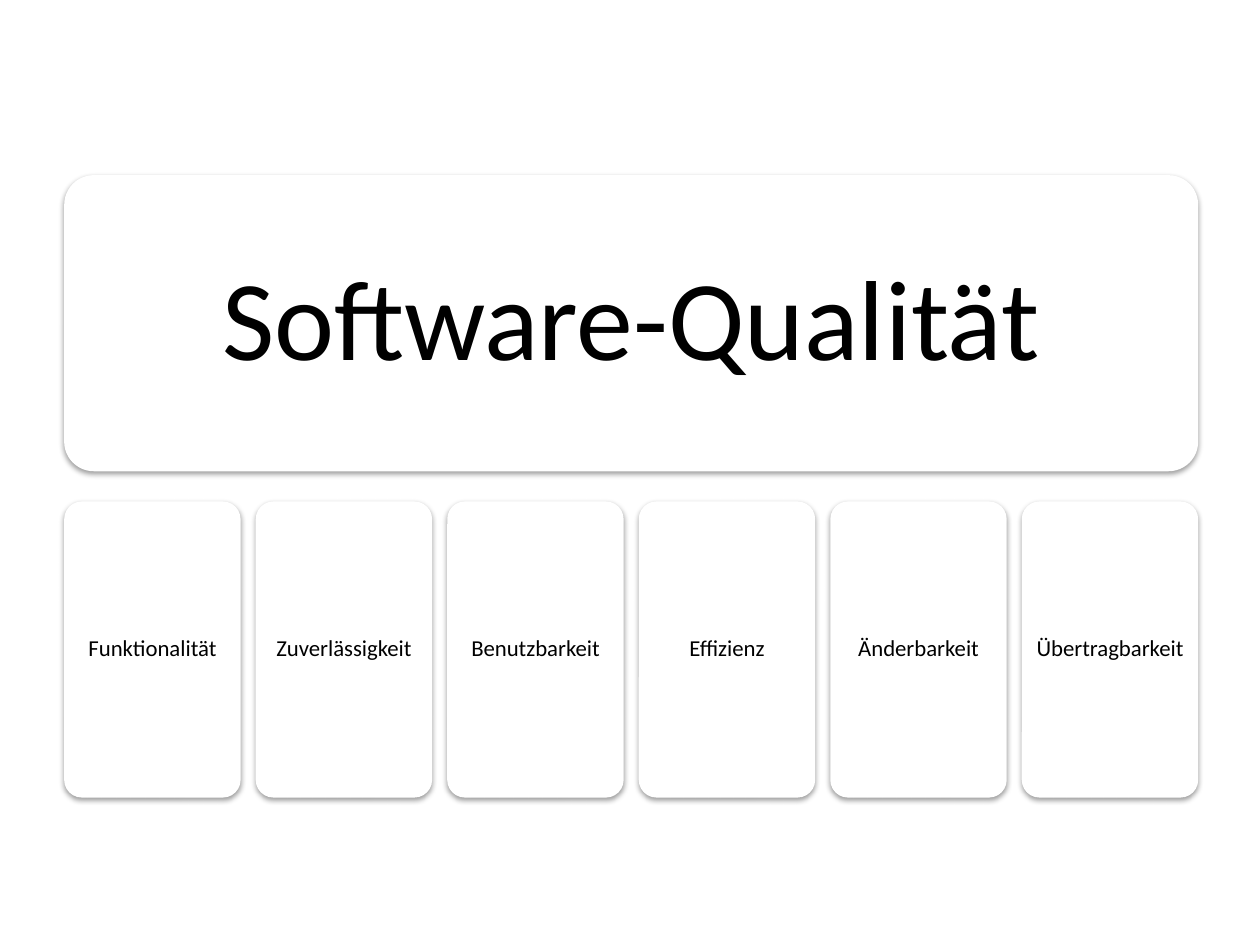
from lxml import etree
from pptx import Presentation, util as u
from pptx.dml.color import RGBColor
from pptx.enum import shapes, text
from pptx.oxml.ns import qn

COLORS = {"card": "FFFFFF", "ink": "000000", "shade": "000000"}
FONT = "Calibri"
TRAITS = ["Funktionalität", "Zuverlässigkeit", "Benutzbarkeit",
          "Effizienz", "Änderbarkeit", "Übertragbarkeit"]

# Grid in inches
LEFT, TOP, WIDTH = 0.51, 1.39, 9
HEIGHT, ROW_STEP = 2.35, 2.59
GAP = 0.12
COL = (WIDTH - GAP * (len(TRAITS) - 1)) / len(TRAITS)


def rgb(name):
    return RGBColor.from_string(COLORS[name])


def add_shadow(card):
    """Soft shadow straight below the card."""
    card.shadow.inherit = False
    effects = card._element.spPr.find(qn("a:effectLst"))
    outer = etree.SubElement(effects, qn("a:outerShdw"), blurRad="40000",
                             dist="20000", dir="5400000", rotWithShape="0")
    color = etree.SubElement(outer, qn("a:srgbClr"), val=COLORS["shade"])
    etree.SubElement(color, qn("a:alpha"), val="38000")


def add_label(card, label, size, inset):
    frame = card.text_frame
    frame.word_wrap = True
    frame.vertical_anchor = text.MSO_ANCHOR.MIDDLE
    frame.margin_left = frame.margin_right = u.Inches(inset)
    frame.margin_top = frame.margin_bottom = u.Inches(inset)
    para = frame.paragraphs[0]
    para.alignment = text.PP_ALIGN.CENTER
    para.line_spacing = 0.9
    run = para.add_run()
    run.text = label
    run.font.name = FONT
    run.font.size = u.Pt(size)
    run.font.color.rgb = rgb("ink")


def add_card(slide, col, row, span, label, size, inset):
    left = LEFT + col * (COL + GAP)
    width = span * COL + (span - 1) * GAP
    box = [u.Inches(v) for v in (left, TOP + row * ROW_STEP, width, HEIGHT)]
    card = slide.shapes.add_shape(shapes.MSO_SHAPE.ROUNDED_RECTANGLE, *box)
    card.adjustments[0] = 0.1
    card.fill.solid()
    card.fill.fore_color.rgb = rgb("card")
    card.line.fill.background()
    add_shadow(card)
    add_label(card, label, size, inset)


def main():
    deck = Presentation()
    deck.slide_width, deck.slide_height = u.Inches(10), u.Inches(7.5)
    slide = deck.slides.add_slide(deck.slide_layouts[6])

    # Main heading across all columns
    add_card(slide, 0, 0, len(TRAITS), "Software-Qualität", 65, 0.27)

    # One card for each quality trait
    for col, trait in enumerate(TRAITS):
        add_card(slide, col, 1, 1, trait, 13, 0.05)

    deck.save("out.pptx")


main()
